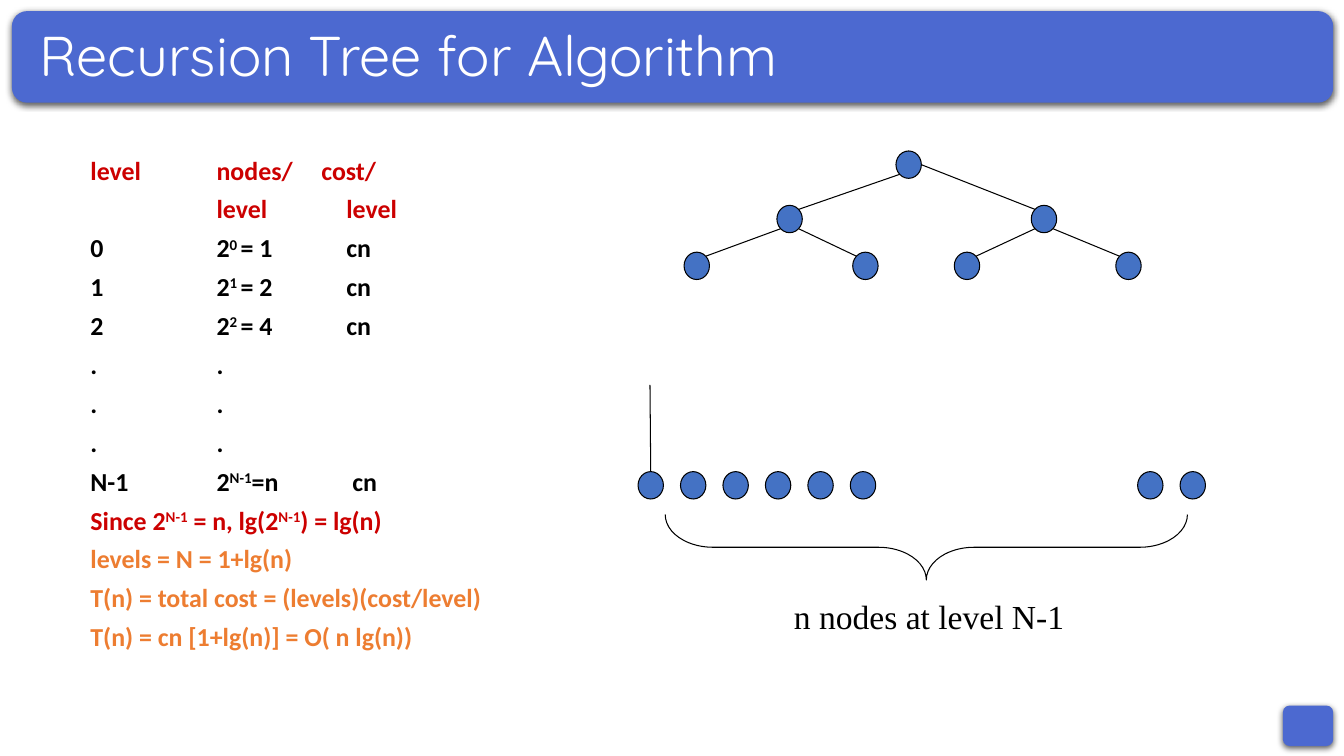
from dataclasses import dataclass
from math import sqrt

from lxml.etree import SubElement
from pptx import Presentation
from pptx.dml.color import RGBColor
from pptx.enum.shapes import MSO_CONNECTOR, MSO_SHAPE
from pptx.enum.text import MSO_ANCHOR, MSO_AUTO_SIZE, PP_ALIGN
from pptx.oxml.ns import qn
from pptx.shapes.autoshape import Shape
from pptx.slide import Slide
from pptx.util import Cm, Pt


@dataclass(frozen=True)
class Theme:
    panel: str = "4C69D0"
    node: str = "4472C4"
    ink: str = "000000"
    red: str = "CC0000"
    orange: str = "ED7D31"
    white: str = "FFFFFF"
    title_font: str = "Quicksand"
    body_font: str = "Calibri"
    label_font: str = "Times New Roman"
    title_size: float = 40
    body_size: float = 18.5
    label_size: float = 24
    outline: float = 0.75


THEME = Theme()
NODE_WIDTH, NODE_HEIGHT = 0.64, 0.69
NODES_STOP = 3.18
COST_STOP = 6.45


@dataclass(frozen=True)
class Panel:
    left: float
    top: float
    width: float
    height: float


@dataclass(frozen=True)
class Node:
    x: float
    y: float

    def site(self, across: int, down: int) -> tuple[float, float]:
        """Point on the rim in the direction given by -1, 0 or 1 on each axis."""
        reach = sqrt(across**2 + down**2)
        return (self.x + across * NODE_WIDTH / 2 / reach,
                self.y + down * NODE_HEIGHT / 2 / reach)


@dataclass(frozen=True)
class Row:
    """A line of the cost listing; every second part between bars is raised."""
    text: str
    color: str = THEME.ink
    cost_stop: float = COST_STOP


PANELS = [Panel(32.33, 17.78, 1.27, 1.02), Panel(0.3, 0.28, 33.3, 2.31)]

ROOT = Node(22.9, 4.15)
LEFT, RIGHT = Node(19.9, 5.52), Node(26.31, 5.52)
LEAVES = [Node(x, 6.7) for x in (17.56, 21.81, 24.37, 28.44)]
BOTTOM = [Node(start + 1.07 * i, 12.23)
          for start, count in ((16.4, 6), (28.99, 2)) for i in range(count)]
EDGES = [
    (ROOT.site(-1, 1), LEFT.site(1, -1)),
    (ROOT.site(1, 0), RIGHT.site(-1, -1)),
    (LEFT.site(-1, 1), LEAVES[0].site(1, -1)),
    (LEFT.site(1, 1), LEAVES[1].site(-1, -1)),
    (RIGHT.site(-1, 1), LEAVES[2].site(1, -1)),
    (RIGHT.site(1, 1), LEAVES[3].site(-1, -1)),
    (BOTTOM[0].site(0, -1), (16.38, 9.7)),
]

ROWS = [
    Row("level\tnodes/\tcost/", THEME.red, 5.82),
    Row("\tlevel\tlevel", THEME.red),
    *(Row(f"{level}\t2|{level} |= {2**level}\tcn") for level in range(3)),
    *[Row(".\t.")] * 3,
    Row("N-1\t2|N-1|=n\tcn", cost_stop=6.6),
    Row("Since 2|N-1| = n, lg(2|N-1|) = lg(n)", THEME.red),
    Row("levels = N = 1+lg(n)", THEME.orange),
    Row("T(n) = total cost = (levels)(cost/level)", THEME.orange),
    Row("T(n) = cn [1+lg(n)] = O( n lg(n))", THEME.orange),
]


def rgb(color: str) -> RGBColor:
    return RGBColor.from_string(color)


def style_run(run, font: str, size: float, color: str, bold: bool = False) -> None:
    run.font.name = font
    run.font.size = Pt(size)
    run.font.bold = bold
    run.font.color.rgb = rgb(color)


def draw_panel(slide: Slide, panel: Panel) -> None:
    shape = slide.shapes.add_shape(
        MSO_SHAPE.ROUNDED_RECTANGLE, Cm(panel.left), Cm(panel.top),
        Cm(panel.width), Cm(panel.height))
    shape.fill.solid()
    shape.fill.fore_color.rgb = rgb(THEME.panel)
    shape.line.fill.background()
    effects = SubElement(shape.element.spPr, qn("a:effectLst"))
    shadow = SubElement(effects, qn("a:outerShdw"), blurRad=str(Pt(4.5)),
                        dist=str(Pt(1.5)), dir="5400000", rotWithShape="0")
    tint = SubElement(shadow, qn("a:srgbClr"), val=THEME.ink)
    SubElement(tint, qn("a:alpha"), val="63000")


def outline(shape: Shape) -> None:
    shape.shadow.inherit = False
    shape.line.color.rgb = rgb(THEME.ink)
    shape.line.width = Pt(THEME.outline)


def draw_node(slide: Slide, node: Node) -> None:
    circle = slide.shapes.add_shape(
        MSO_SHAPE.OVAL, Cm(node.x - NODE_WIDTH / 2), Cm(node.y - NODE_HEIGHT / 2),
        Cm(NODE_WIDTH), Cm(NODE_HEIGHT))
    circle.fill.solid()
    circle.fill.fore_color.rgb = rgb(THEME.node)
    outline(circle)


def draw_edge(slide: Slide, start: tuple[float, float], end: tuple[float, float]) -> None:
    edge = slide.shapes.add_connector(
        MSO_CONNECTOR.STRAIGHT, *(Cm(value) for value in (*start, *end)))
    edge.line.color.rgb = rgb(THEME.ink)
    edge.line.width = Pt(THEME.outline)
    SubElement(edge.element.spPr, qn("a:effectLst"))


def draw_brace(slide: Slide) -> None:
    brace = slide.shapes.add_shape(
        MSO_SHAPE.LEFT_BRACE, Cm(22.52), Cm(7.21), Cm(1.65), Cm(13.16))
    brace.rotation = 270
    brace.adjustments[0] = 0.73
    brace.fill.background()
    outline(brace)


def draw_brace_label(slide: Slide) -> None:
    label = slide.shapes.add_textbox(Cm(18.97), Cm(14.88), Cm(8.89), Cm(1.55))
    label.text_frame.text = "n nodes at level N-1"
    label.text_frame.word_wrap = False
    line = label.text_frame.paragraphs[0]
    line.alignment = PP_ALIGN.CENTER
    style_run(line.runs[0], THEME.label_font, THEME.label_size, THEME.ink)


def draw_cost_listing(slide: Slide) -> None:
    listing = slide.shapes.add_textbox(Cm(2.03), Cm(3.91), Cm(14.91), Cm(13.23))
    frame = listing.text_frame
    frame.word_wrap = True
    for index, row in enumerate(ROWS):
        line = frame.add_paragraph() if index else frame.paragraphs[0]
        line.line_spacing = 0.8
        line.space_before = Pt(10)
        stops = SubElement(line._p.get_or_add_pPr(), qn("a:tabLst"))
        for stop in (NODES_STOP, row.cost_stop):
            SubElement(stops, qn("a:tab"), pos=str(Cm(stop)), algn="l")
        for part, text in enumerate(row.text.split("|")):
            run = line.add_run()
            run.text = text
            style_run(run, THEME.body_font, THEME.body_size, row.color, bold=True)
            if part % 2:
                run._r.get_or_add_rPr().set("baseline", "30000")


def place_title(slide: Slide) -> None:
    """Format the title and bring it in front of its banner."""
    title = slide.shapes.title
    title.left, title.top, title.width, title.height = (
        Cm(0.74), Cm(0.64), Cm(32.41), Cm(1.65))
    frame = title.text_frame
    frame.text = "Recursion Tree for Algorithm"
    frame.auto_size = MSO_AUTO_SIZE.NONE
    frame.vertical_anchor = MSO_ANCHOR.MIDDLE
    line = frame.paragraphs[0]
    line.alignment = PP_ALIGN.LEFT
    line.line_spacing = 0.9
    style_run(line.runs[0], THEME.title_font, THEME.title_size, THEME.white)
    title.element.getparent().append(title.element)


def main() -> None:
    deck = Presentation()
    deck.slide_width, deck.slide_height = Cm(33.87), Cm(19.05)
    slide = deck.slides.add_slide(deck.slide_layouts[5])
    for panel in PANELS:
        draw_panel(slide, panel)
    draw_cost_listing(slide)
    for node in (ROOT, LEFT, RIGHT, *LEAVES, *BOTTOM):
        draw_node(slide, node)
    draw_brace(slide)
    for start, end in EDGES:
        draw_edge(slide, start, end)
    draw_brace_label(slide)
    place_title(slide)
    deck.save("out.pptx")


if __name__ == "__main__":
    main()
